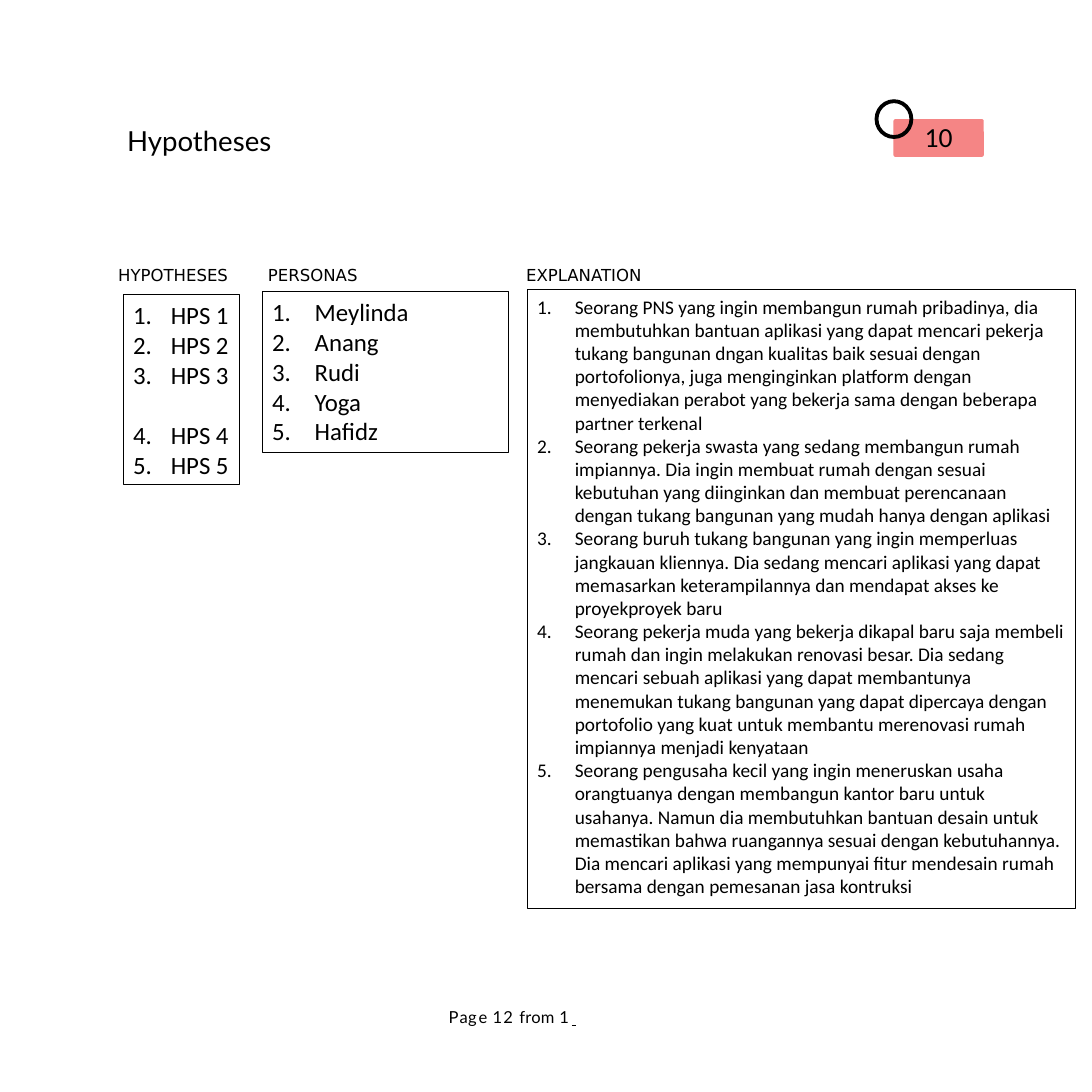
"""Build the Hypotheses slide with its three numbered lists."""
from typing import NamedTuple

from lxml import etree
from pptx import Presentation
from pptx.dml.color import RGBColor
from pptx.enum.shapes import MSO_SHAPE
from pptx.enum.text import MSO_ANCHOR, MSO_AUTO_SIZE, PP_ALIGN
from pptx.oxml.ns import qn
from pptx.util import Inches, Pt

BLACK = RGBColor(0, 0, 0)
CORAL = RGBColor(0xF5, 0x85, 0x85)
LEFT, CENTER = PP_ALIGN.LEFT, PP_ALIGN.CENTER
TOP, FIXED = MSO_ANCHOR.TOP, MSO_AUTO_SIZE.NONE
ROUND, RING = MSO_SHAPE.ROUNDED_RECTANGLE, MSO_SHAPE.DONUT
COMPARE = 4


class Box(NamedTuple):
    left: float
    top: float
    width: float
    height: float


class Panel(NamedTuple):
    slot: int
    box: Box
    size: int
    hang: float
    items: list[str]
    gaps: dict[int, float]
    right: float = 0.1


class Label(NamedTuple):
    box: Box
    text: str
    tab: float


class Piece(NamedTuple):
    text: str
    track: float


PANELS = [
    Panel(1, Box(1.24, 2.97, 1.17, 1.91), 18, 0.38,
          [f"HPS {n}" for n in range(1, 6)], {3: 22}, 0.02),
    Panel(2, Box(2.64, 2.94, 2.48, 1.62), 18, 0.43,
          ["Meylinda", "Anang", "Rudi", "Yoga", "Hafidz"], {}),
    Panel(4, Box(5.31, 2.92, 5.52, 6.23), 14, 0.38, [
        "Seorang PNS yang ingin membangun rumah pribadinya, dia membutuhkan "
        "bantuan aplikasi yang dapat mencari pekerja tukang bangunan dngan "
        "kualitas baik sesuai dengan portofolionya, juga menginginkan platform "
        "dengan menyediakan perabot yang bekerja sama dengan beberapa partner "
        "terkenal",
        "Seorang pekerja swasta yang sedang membangun rumah impiannya. Dia ingin "
        "membuat rumah dengan sesuai kebutuhan yang diinginkan dan membuat "
        "perencanaan dengan tukang bangunan yang mudah hanya dengan aplikasi",
        "Seorang buruh tukang bangunan yang ingin memperluas jangkauan kliennya. "
        "Dia sedang mencari aplikasi yang dapat memasarkan keterampilannya dan "
        "mendapat akses ke proyekproyek baru",
        "Seorang pekerja muda yang bekerja dikapal baru saja membeli rumah dan "
        "ingin melakukan renovasi besar. Dia sedang mencari sebuah aplikasi yang "
        "dapat membantunya menemukan tukang bangunan yang dapat dipercaya dengan "
        "portofolio yang kuat untuk membantu merenovasi rumah impiannya menjadi "
        "kenyataan",
        "Seorang pengusaha kecil yang ingin meneruskan usaha orangtuanya dengan "
        "membangun kantor baru untuk usahanya. Namun dia membutuhkan bantuan "
        "desain untuk memastikan bahwa ruangannya sesuai dengan kebutuhannya. Dia "
        "mencari aplikasi yang mempunyai fitur mendesain rumah bersama dengan "
        "pemesanan jasa kontruksi",
    ], {}),
]
LABELS = [
    Label(Box(1.19, 2.65, 2.47, 0.22), "HYPOTHESES\tPERSONAS", 1.51),
    Label(Box(5.3, 2.65, 1.26, 0.22), "EXPLANATION", 0),
]
FOOT = [Piece("P", 0.7), Piece("a", 0.2), Piece("g", 1.4), Piece("e ", 0.4),
        Piece("12 ", 0.8), Piece("from ", 0.2), Piece("1 ", -0.9)]


def place(shape, box: Box) -> None:
    shape.left, shape.top, shape.width, shape.height = map(Inches, box)


def frame(shape, left: float = 0, top: float = 0, right: float = 0):
    text = shape.text_frame
    text.word_wrap, text.auto_size = True, FIXED
    text.vertical_anchor = TOP
    text.margin_left, text.margin_right = Inches(left), Inches(right)
    text.margin_top = text.margin_bottom = Inches(top)
    return text


def write(par, text: str, *, font: str, size: float, align=LEFT,
          track: float = 0, under: bool = False) -> None:
    par.alignment = align
    run = par.add_run()
    run.text = text
    style = run.font
    style.name, style.size, style.bold = font, Pt(size), False
    style.underline = under
    style.color.rgb = BLACK
    if track:
        run._r.get_or_add_rPr().set("spc", str(round(track * 100)))


def number(par, hang: float) -> None:
    props = par._p.get_or_add_pPr()
    props.set("marL", str(Inches(hang)))
    props.set("indent", str(-Inches(hang)))
    etree.SubElement(props, qn("a:buFont"), typeface="Calibri")
    etree.SubElement(props, qn("a:buAutoNum"), type="arabicPeriod")


def add_tab(par, stop: float) -> None:
    tabs = etree.SubElement(par._p.get_or_add_pPr(), qn("a:tabLst"))
    etree.SubElement(tabs, qn("a:tab"), pos=str(Inches(stop)), algn="l")


def draw_panel(slide, panel: Panel) -> None:
    shape = slide.placeholders[panel.slot]
    place(shape, panel.box)
    shape.line.color.rgb = BLACK
    shape.line.width = Pt(0.75)
    text = frame(shape, 0.1, 0.05, panel.right)
    for row, item in enumerate(panel.items):
        par = text.add_paragraph() if row else text.paragraphs[0]
        number(par, panel.hang)
        par.space_before = Pt(panel.gaps.get(row, 0))
        write(par, item, font="Calibri", size=panel.size)


def draw_label(slide, label: Label) -> None:
    shape = slide.shapes.add_textbox(*map(Inches, label.box))
    par = frame(shape, 0, 0.02).paragraphs[0]
    if label.tab:
        add_tab(par, label.tab)
    write(par, label.text, font="DejaVu Sans", size=12)


def add_solid(group, kind, box: Box, color: RGBColor, bend: float):
    shape = group.shapes.add_shape(kind, *map(Inches, box))
    shape.adjustments[0] = bend
    shape.shadow.inherit = False
    shape.fill.solid()
    shape.fill.fore_color.rgb = color
    shape.line.fill.background()
    return shape


def draw_badge(slide) -> None:
    group = slide.shapes.add_group_shape()
    badge = add_solid(group, ROUND, Box(9, 1.2, 0.91, 0.38), CORAL, 0.05)
    write(frame(badge).paragraphs[0], "10", font="Calibri", size=20,
          align=CENTER)
    add_solid(group, RING, Box(8.81, 1, 0.39, 0.4), BLACK, 0.1)


def draw_foot(slide) -> None:
    shape = slide.shapes.add_textbox(*map(Inches, Box(4.52, 10.15, 1.4, 0.2)))
    par = frame(shape).paragraphs[0]
    add_tab(par, 1.35)
    par.line_spacing = Pt(14.1)
    for piece in FOOT:
        write(par, piece.text, font="Lato", size=12, track=piece.track)
    write(par, " \t", font="Times New Roman", size=12, under=True)


def main() -> None:
    deck = Presentation()
    deck.slide_width = deck.slide_height = Inches(11)
    slide = deck.slides.add_slide(deck.slide_layouts[COMPARE])
    title = slide.shapes.title
    place(title, Box(1.28, 1.22, 6.5, 0.36))
    write(frame(title, 0, 0.03).paragraphs[0], "Hypotheses", font="Lato",
          size=20)
    for label in LABELS:
        draw_label(slide, label)
    draw_badge(slide)
    for panel in PANELS:
        draw_panel(slide, panel)
    spare = slide.placeholders[3].element
    spare.getparent().remove(spare)
    draw_foot(slide)
    deck.save("out.pptx")


if __name__ == "__main__":
    main()
